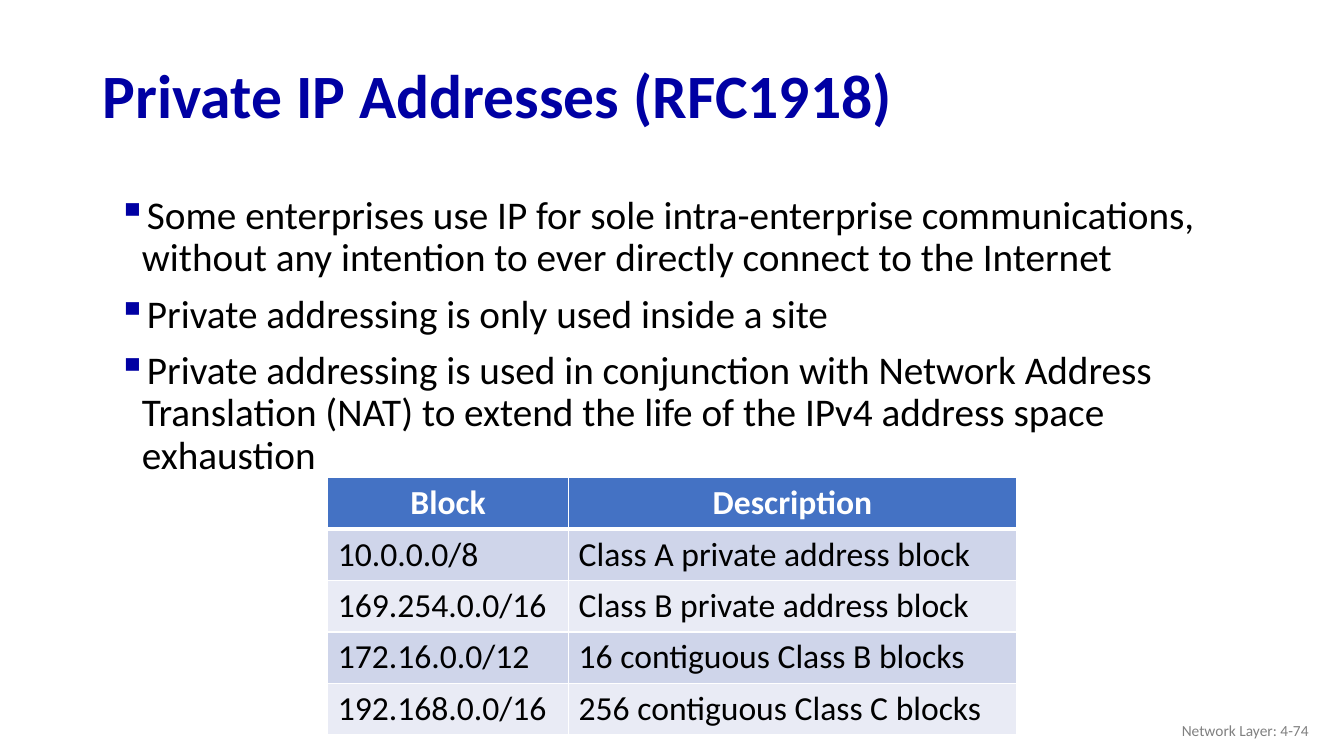
from dataclasses import dataclass

from lxml.etree import SubElement
from pptx import Presentation
from pptx.dml.color import RGBColor
from pptx.enum.text import MSO_ANCHOR, MSO_AUTO_SIZE, PP_ALIGN
from pptx.oxml.ns import qn
from pptx.util import Pt

PX = 9144  # 100 px to the inch


@dataclass(frozen=True)
class Theme:
    font: str = "Calibri"
    navy: str = "0000A3"
    black: str = "000000"
    white: str = "FFFFFF"
    gray: str = "808080"
    header: str = "4472C4"
    bands: tuple = ("CFD5EA", "E9EBF5")
    title_size: int = 44
    body_size: int = 28
    table_size: int = 24
    footer_size: int = 11


THEME = Theme()

BULLETS = [
    "Some enterprises use IP for sole intra-enterprise communications, "
    "without any intention to ever directly connect to the Internet",
    "Private addressing is only used inside a site",
    "Private addressing is used in conjunction with Network Address "
    "Translation (NAT) to extend the life of the IPv4 address space exhaustion",
]

ADDRESS_BLOCKS = [
    ("Block", "Description"),
    ("10.0.0.0/8", "Class A private address block"),
    ("169.254.0.0/16", "Class B private address block"),
    ("172.16.0.0/12", "16 contiguous Class B blocks"),
    ("192.168.0.0/16", "256 contiguous Class C blocks"),
]


def px(*lengths):
    return [length * PX for length in lengths]


def add_span(para, text, size, color, bold=False):
    span = para.add_run()
    span.text = text
    span.font.name = THEME.font
    span.font.size = Pt(size)
    span.font.bold = bold
    span.font.color.rgb = RGBColor.from_string(color)


def add_title(page, text):
    title = page.shapes.title
    title.left, title.top, title.width, title.height = px(92, 49, 1150, 98)
    frame = title.text_frame
    frame.auto_size = MSO_AUTO_SIZE.NONE
    frame.vertical_anchor = MSO_ANCHOR.MIDDLE
    para = frame.paragraphs[0]
    para.alignment = PP_ALIGN.LEFT
    para.line_spacing = 0.9
    add_span(para, text, THEME.title_size, THEME.navy, bold=True)


def add_box(page, left, top, width, height):
    frame = page.shapes.add_textbox(*px(left, top, width, height)).text_frame
    frame.word_wrap = True
    return frame


def set_bullet(para):
    properties = para._p.get_or_add_pPr()
    properties.set("marL", str(39 * PX))
    properties.set("indent", str(-24 * PX))
    bullet_color = SubElement(properties, qn("a:buClr"))
    SubElement(bullet_color, qn("a:srgbClr"), val=THEME.navy)
    SubElement(properties, qn("a:buChar"), char="▪")


def add_bullets(page, texts):
    frame = add_box(page, 92, 189, 1150, 476)
    for index, text in enumerate(texts):
        para = frame.add_paragraph() if index else frame.paragraphs[0]
        set_bullet(para)
        para.line_spacing = 0.9
        para.space_before = Pt(10 if index else 0)
        add_span(para, text, THEME.body_size, THEME.black)


def set_borders(cell, bottom_width):
    """Draw white cell edges; they must come before the fill in the XML."""
    properties = cell._tc.get_or_add_tcPr()
    for edge in ("lnL", "lnR", "lnT", "lnB"):
        width = bottom_width if edge == "lnB" else 1
        line = SubElement(properties, qn(f"a:{edge}"), w=str(Pt(width)))
        fill = SubElement(line, qn("a:solidFill"))
        SubElement(fill, qn("a:srgbClr"), val=THEME.white)


def fill_cell(cell, text, row):
    is_header = row == 0
    set_borders(cell, bottom_width=3 if is_header else 1)
    cell.fill.solid()
    color = THEME.header if is_header else THEME.bands[(row - 1) % 2]
    cell.fill.fore_color.rgb = RGBColor.from_string(color)
    para = cell.text_frame.paragraphs[0]
    para.alignment = PP_ALIGN.CENTER if is_header else PP_ALIGN.LEFT
    text_color = THEME.white if is_header else THEME.black
    add_span(para, text, THEME.table_size, text_color, bold=is_header)


def add_address_table(page, rows):
    widths = px(239, 444)
    row_height = 51
    frame = page.shapes.add_table(
        len(rows), len(widths), *px(325, 474, 683, row_height * len(rows)))
    table = frame.table
    table.horz_banding = False
    for column, width in zip(table.columns, widths):
        column.width = width
    for row, texts in enumerate(rows):
        for column, text in enumerate(texts):
            fill_cell(table.cell(row, column), text, row)


def add_footer(page, text):
    frame = add_box(page, 1008, 705, 300, 40)
    frame.vertical_anchor = MSO_ANCHOR.MIDDLE
    para = frame.paragraphs[0]
    para.alignment = PP_ALIGN.RIGHT
    add_span(para, text, THEME.footer_size, THEME.gray)


def main():
    deck = Presentation()
    deck.slide_width, deck.slide_height = px(1333, 750)
    page = deck.slides.add_slide(deck.slide_layouts.get_by_name("Title Only"))
    add_bullets(page, BULLETS)
    add_title(page, "Private IP Addresses (RFC1918)")
    add_footer(page, "Network Layer: 4-74")
    add_address_table(page, ADDRESS_BLOCKS)
    deck.save("out.pptx")


if __name__ == "__main__":
    main()
